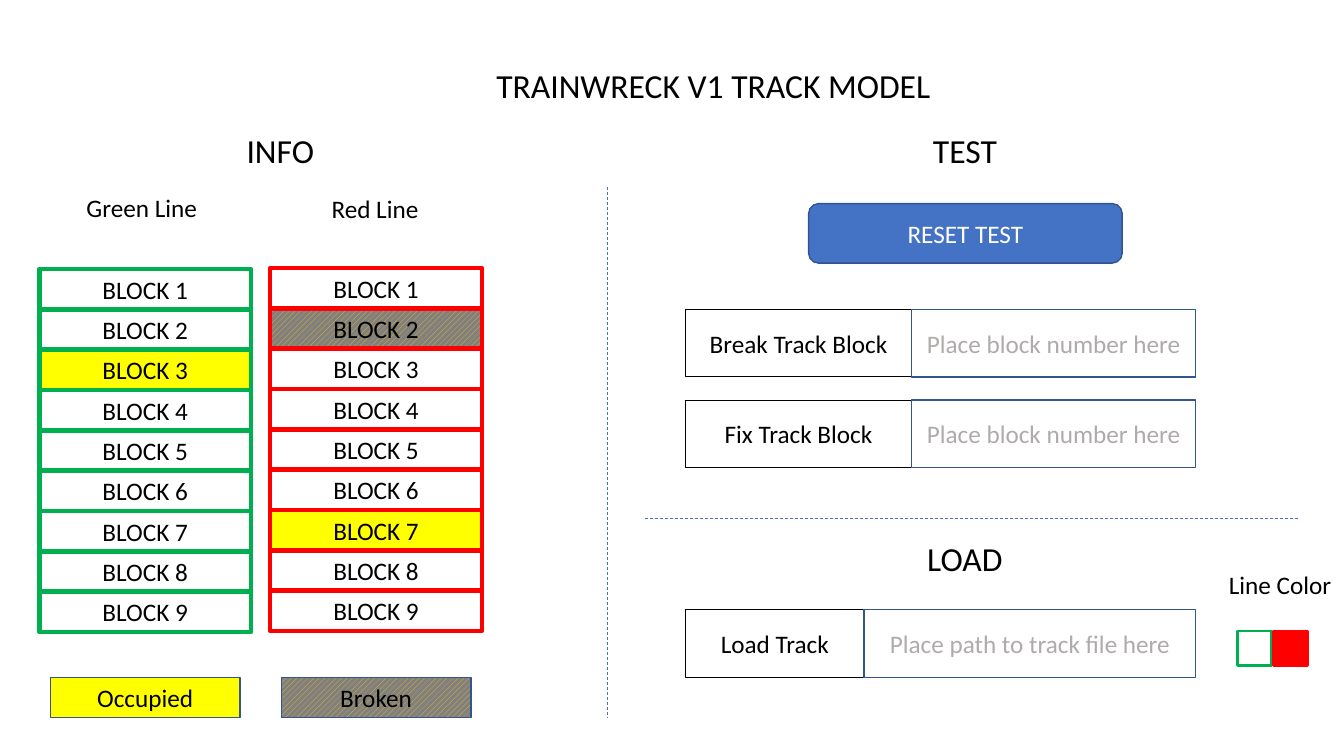
from dataclasses import dataclass

from lxml import etree
from pptx import Presentation
from pptx import util as u
from pptx.dml.color import RGBColor
from pptx.enum import dml, shapes, text
from pptx.oxml import ns


@dataclass(frozen=True)
class Theme:
    font: str = "Calibri"
    heading: int = 24
    body: int = 18
    black: str = "000000"
    white: str = "FFFFFF"
    hint: str = "AFABAB"
    green: str = "00B050"
    red: str = "FF0000"
    yellow: str = "FFFF00"
    blue: str = "4472C4"
    navy: str = "325491"
    stripe: str = "FFC000"
    gray: str = "808080"


theme = Theme()
BROKEN = "broken"  # striped fill for a broken block
CELL = u.Inches(0.1)  # the grid has 133.3 columns and 75 rows

presentation = Presentation()
presentation.slide_width = u.Inches(13.33)
presentation.slide_height = u.Inches(7.5)
slide = presentation.slides.add_slide(presentation.slide_layouts[6])


def write(shape, words, size=theme.body, color=theme.black, align=text.PP_ALIGN.CENTER):
    shape.text_frame.text = words
    paragraph = shape.text_frame.paragraphs[0]
    paragraph.alignment = align
    for run in paragraph.runs:
        run.font.name = theme.font
        run.font.size = u.Pt(size)
        run.font.color.rgb = RGBColor.from_string(color)


def add_box(place, words, fill, line, weight, color=theme.black,
            kind=shapes.MSO_SHAPE.RECTANGLE):
    shape = slide.shapes.add_shape(kind, *(round(CELL * cells) for cells in place))
    shape.shadow.inherit = False
    if fill is None:
        shape.fill.background()
    elif fill == BROKEN:
        shape.fill.patterned()
        shape.fill.pattern = dml.MSO_PATTERN.WIDE_UPWARD_DIAGONAL
        shape.fill.fore_color.rgb = RGBColor.from_string(theme.stripe)
        shape.fill.back_color.rgb = RGBColor.from_string(theme.gray)
    else:
        shape.fill.solid()
        shape.fill.fore_color.rgb = RGBColor.from_string(fill)
    shape.line.color.rgb = RGBColor.from_string(line)
    shape.line.width = u.Pt(weight)
    shape.text_frame.vertical_anchor = text.MSO_ANCHOR.MIDDLE
    if words:
        write(shape, words, color=color)


# Headings and labels
center, left = text.PP_ALIGN.CENTER, text.PP_ALIGN.LEFT
for words, place, size, align, wrap in (
    ("TRAINWRECK V1 TRACK MODEL", (47, 5.9, 47.5, 5), theme.heading, center, True),
    ("INFO", (5.9, 12.4, 43.8, 5), theme.heading, center, True),
    ("TEST", (73.8, 12.4, 43.8, 5), theme.heading, center, True),
    ("LOAD", (73.8, 52.9, 43.8, 5), theme.heading, center, True),
    ("Green Line", (7.6, 18.6, 13.7, 4), theme.body, left, True),
    ("Red Line", (31.9, 18.7, 10.8, 4), theme.body, left, False),
    ("Line Color", (120.9, 56, 12.3, 4), theme.body, left, False),
):
    label = slide.shapes.add_textbox(*(round(CELL * cells) for cells in place))
    label.text_frame.word_wrap = wrap
    label.text_frame.auto_size = text.MSO_AUTO_SIZE.SHAPE_TO_FIT_TEXT
    write(label, words, size, align=align)

# Track blocks of the two lines
block_height = 4
for column, first_row, line_color, states in (
    (3.9, 26.7, theme.green, {3: theme.yellow}),
    (26.8, 26.6, theme.red, {2: BROKEN, 7: theme.yellow}),
):
    for number in range(1, 10):
        row = first_row + (number - 1) * block_height
        add_box((column, row, 21, block_height), f"BLOCK {number}",
                states.get(number), line_color, 3.25)

# Legend
for column, words, fill in ((5, "Occupied", theme.yellow), (27.9, "Broken", BROKEN)):
    add_box((column, 67.2, 18.8, 4), words, fill, theme.navy, 1)

# Dividers
for ends in ((60.2, 18.6, 60.2, 71.2), (64, 51.4, 128.9, 51.4)):
    divider = slide.shapes.add_connector(
        shapes.MSO_CONNECTOR.STRAIGHT, *(round(CELL * cells) for cells in ends))
    divider.line.color.rgb = RGBColor.from_string(theme.blue)
    divider.line.width = u.Pt(0.5)
    divider.line.dash_style = dml.MSO_LINE.DASH
    etree.SubElement(divider.element.spPr, ns.qn("a:effectLst"))

# Reset button
add_box((80.2, 20.2, 31.1, 5.9), "RESET TEST", theme.blue, theme.navy, 1,
        theme.white, shapes.MSO_SHAPE.ROUNDED_RECTANGLE)

# Commands with their input fields
form_left, form_right, form_height = 68, 118.6, 6.7
for row, split, command, hint in (
    (30.7, 90.4, "Break Track Block", "Place block number here"),
    (39.7, 90.4, "Fix Track Block", "Place block number here"),
    (60.5, 85.7, "Load Track", "Place path to track file here"),
):
    add_box((form_left, row, split - form_left, form_height), command,
            None, theme.black, 0.75)
    add_box((split, row, form_right - split, form_height), hint,
            theme.white, theme.navy, 1, theme.hint)

# Line color switch
for column, fill, line_color in (
    (122.7, theme.white, theme.green),
    (126.3, theme.red, theme.red),
):
    add_box((column, 62.6, 3.4, 3.4), "", fill, line_color, 2)

presentation.save("out.pptx")
